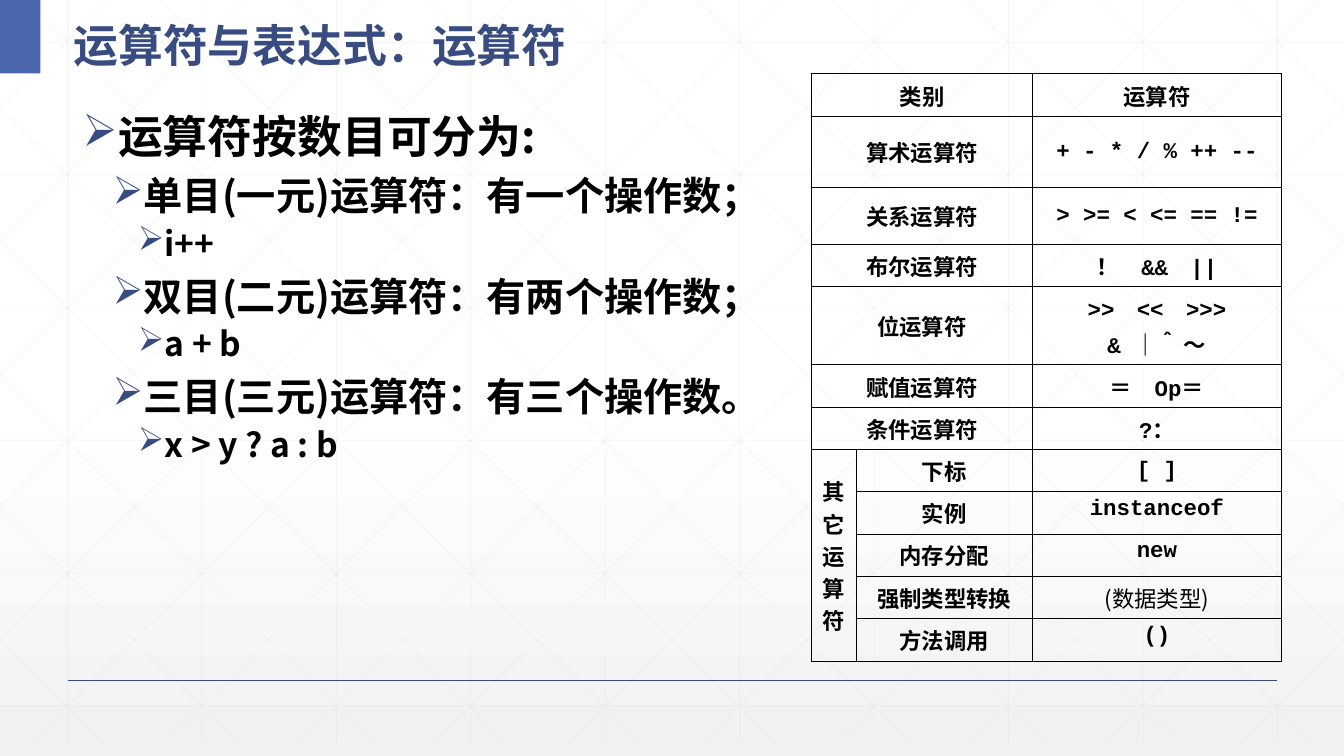
from lxml import etree
from pptx import Presentation
from pptx.dml.color import RGBColor
from pptx.enum.shapes import MSO_CONNECTOR, MSO_SHAPE
from pptx.enum.text import MSO_ANCHOR, PP_ALIGN
from pptx.oxml.ns import qn
from pptx.util import Inches, Pt

STRAIGHT = MSO_CONNECTOR.STRAIGHT
RECTANGLE = MSO_SHAPE.RECTANGLE
TOP, MIDDLE = MSO_ANCHOR.TOP, MSO_ANCHOR.MIDDLE
CENTER = PP_ALIGN.CENTER

WHITE = RGBColor(0xFF, 0xFF, 0xFF)
PALE = RGBColor(0xF2, 0xF2, 0xF2)
GRID = RGBColor(0xD9, 0xD9, 0xD9)
NAVY = RGBColor(0x38, 0x4C, 0x81)
BLUE = RGBColor(0x4A, 0x66, 0xAC)
BLACK = RGBColor(0, 0, 0)
HAN = "Noto Sans CJK SC"
MONO = "Courier New"
WIDTH, GRID_BOTTOM = 13.33, 7.37

prs = Presentation()
prs.slide_width, prs.slide_height = Inches(WIDTH), Inches(7.5)
slide = prs.slides.add_slide(prs.slide_layouts[6])

backdrop = slide.background.fill
backdrop.gradient()
backdrop.gradient_angle = 270
for stop, position, color in zip(backdrop.gradient_stops, (0.53, 1), (WHITE, PALE)):
    stop.position = position
    stop.color.rgb = color


def add_line(x1, y1, x2, y2, color, width):
    line = slide.shapes.add_connector(STRAIGHT, Inches(x1), Inches(y1), Inches(x2), Inches(y2))
    line.line.color.rgb = color
    line.line.width = Pt(width)
    properties = line._element.spPr
    etree.SubElement(properties, qn("a:effectLst"))
    return properties


def style_run(run, font, size, color, bold=True):
    run.font.name = font
    run.font.size = Pt(size)
    run.font.bold = bold
    run.font.color.rgb = color
    etree.SubElement(run._r.get_or_add_rPr(), qn("a:ea"), typeface=HAN)


grid_lines = []
for i in range(10):
    x = 0.67 + i * 4 / 3
    grid_lines.append((x, 0, x, GRID_BOTTOM))
for i in range(6):
    y = 0.42 + i * 1.316
    grid_lines.append((0, y, WIDTH, y))
slope = 0.99
for i in range(-5, 10):
    top_x = 0.25 + i * 4 / 3
    x1 = max(0, top_x)
    x2 = min(WIDTH, top_x + GRID_BOTTOM / slope)
    y1, y2 = (x1 - top_x) * slope, (x2 - top_x) * slope
    grid_lines.append((x1, y1, x2, y2))
    grid_lines.append((WIDTH - x1, y1, WIDTH - x2, y2))
for ends in grid_lines:
    properties = add_line(*ends, GRID, 0.5)
    for color in properties.iter(qn("a:srgbClr")):
        etree.SubElement(color, qn("a:alpha"), val="25000")

add_line(0.67, 6.75, 12.67, 6.75, NAVY, 1)

corner = slide.shapes.add_shape(RECTANGLE, 0, 0, Inches(0.4), Inches(0.73))
corner.shadow.inherit = False
corner.fill.solid()
corner.fill.fore_color.rgb = BLUE
corner.line.fill.background()

title = slide.shapes.add_textbox(Inches(0.63), 0, Inches(5.69), Inches(0.73)).text_frame
title.word_wrap = True
title.vertical_anchor = MIDDLE
title.text = "运算符与表达式：运算符"
title.paragraphs[0].line_spacing = 1.3
style_run(title.paragraphs[0].runs[0], HAN, 32, NAVY)

outline = [
    (0, "运算符按数目可分为:"),
    (1, "单目(一元)运算符：有一个操作数；"),
    (2, "i++"),
    (1, "双目(二元)运算符：有两个操作数；"),
    (2, "a + b"),
    (1, "三目(三元)运算符：有三个操作数。"),
    (2, "x > y ? a : b"),
]
levels = [(0.25, 0.25, 0, 32), (0.5, 0.2, 12, 28), (0.75, 0.2, 8, 24)]
body = slide.shapes.add_textbox(Inches(0.72), Inches(1.12), Inches(11.74), Inches(5.52)).text_frame
body.word_wrap = True
body.text = "\n".join(text for level, text in outline)
for paragraph, (level, text) in zip(body.paragraphs, outline):
    indent, hanging, space, size = levels[level]
    pPr = paragraph._p.get_or_add_pPr()
    pPr.set("marL", str(Inches(indent)))
    pPr.set("indent", str(-Inches(hanging)))
    bullet_color = etree.SubElement(pPr, qn("a:buClr"))
    etree.SubElement(bullet_color, qn("a:srgbClr"), val=str(NAVY))
    etree.SubElement(pPr, qn("a:buChar"), char="➢")
    paragraph.level = level
    paragraph.line_spacing = 0.83
    paragraph.space_before = Pt(space)
    style_run(paragraph.runs[0], HAN, size, BLACK)

operators = [
    ("类别", "", "运算符"),
    ("算术运算符", "", "+ - * / % ++ --"),
    ("关系运算符", "", "> >= < <= == !="),
    ("布尔运算符", "", "！　&&　||"),
    ("位运算符", "", ">>　<<　>>>\n& ｜＾ ～"),
    ("赋值运算符", "", "＝　Op＝"),
    ("条件运算符", "", "?："),
    ("其它运算符", "下标", "[ ]"),
    ("", "实例", "instanceof"),
    ("", "内存分配", "new"),
    ("", "强制类型转换", "(数据类型)"),
    ("", "方法调用", "()"),
]
column_widths = [0.44, 1.75, 2.47]
row_heights = [0.42, 0.71, 0.56, 0.42, 0.78] + [0.42] * 7
OTHERS = 7
table = slide.shapes.add_table(
    len(operators), 3, Inches(8.05), Inches(0.73), Inches(4.66), Inches(5.78)
).table
table.first_row = False
table.horz_banding = False
for column, width in zip(table.columns, column_widths):
    column.width = Inches(width)
for row, height in zip(table.rows, row_heights):
    row.height = Inches(height)

for r, row in enumerate(operators):
    for c, text in enumerate(row):
        cell = table.cell(r, c)
        tcPr = cell._tc.get_or_add_tcPr()
        for side in ("a:lnL", "a:lnR", "a:lnT", "a:lnB"):
            border = etree.SubElement(tcPr, qn(side), w=str(Pt(0.5)))
            border_fill = etree.SubElement(border, qn("a:solidFill"))
            etree.SubElement(border_fill, qn("a:srgbClr"), val=str(BLACK))
        cell.fill.background()
        cell.vertical_anchor = TOP if r > OTHERS and c > 0 else MIDDLE
        cell.margin_bottom = Inches(0.04)
        cell.text = text
        is_cast = text == "(数据类型)"
        font = HAN if is_cast or text == "其它运算符" else MONO
        for n, paragraph in enumerate(cell.text_frame.paragraphs):
            paragraph.alignment = CENTER
            paragraph.space_before = Pt(2 if n else 0)
            for run in paragraph.runs:
                style_run(run, font, 16, BLACK, not is_cast)

for r in range(OTHERS):
    table.cell(r, 0).merge(table.cell(r, 1))
table.cell(OTHERS, 0).merge(table.cell(len(operators) - 1, 0))

prs.save("out.pptx")
